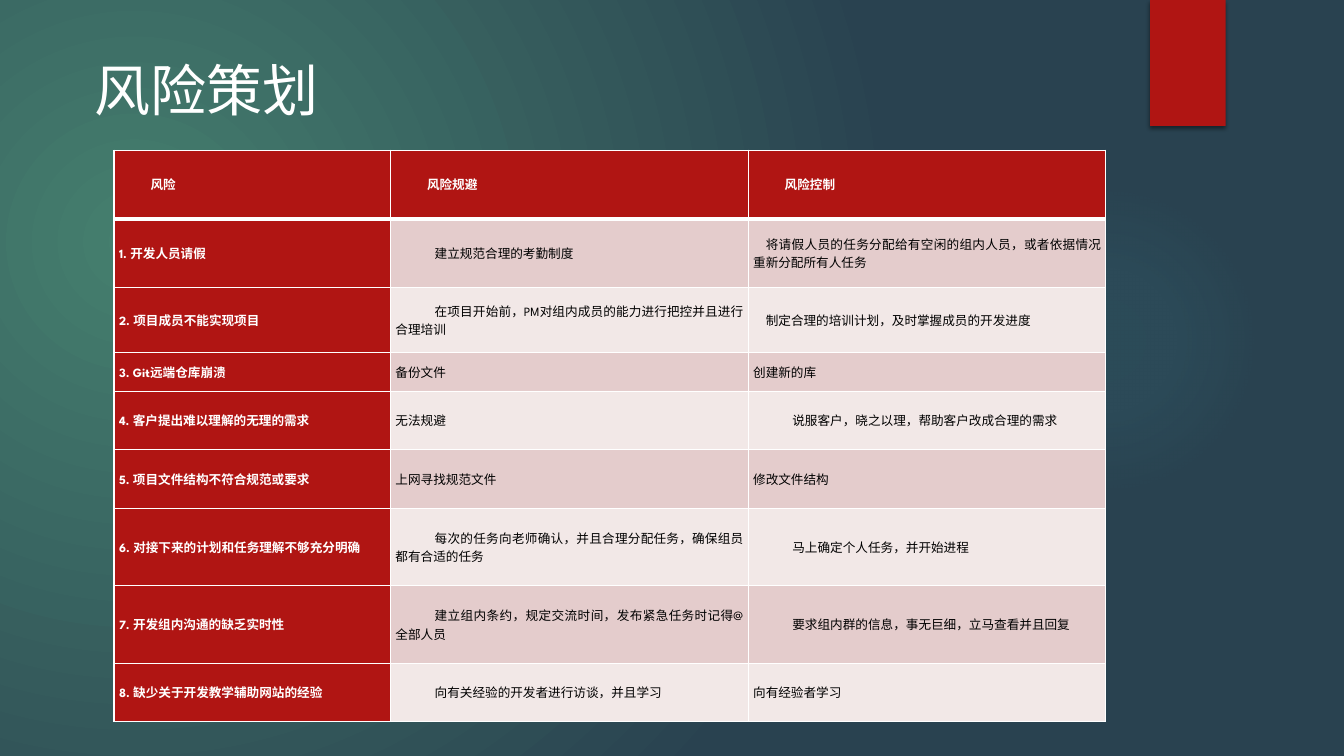
from lxml.etree import SubElement
from pptx import Presentation
from pptx.dml.color import RGBColor
from pptx.enum.shapes import MSO_SHAPE
from pptx.enum.text import MSO_ANCHOR, MSO_AUTO_SIZE, PP_ALIGN
from pptx.oxml.ns import qn
from pptx.util import Pt

FONT = "League Spartan"
COLORS = {
    "white": "FFFFFF",
    "black": "000000",
    "red": "B01513",
    "pink": "E4CCCC",
    "pale": "F2E8E7",
    "green": "457F6E",
    "navy": "294250",
    "teal": "50B9C1",
}

# First-line indents in points
HEADER_INDENT, WIDE, SMALL, NONE = 22.5, 28, 9, 0

HEADERS = ["风险", "风险规避", "风险控制"]
COLUMN_WIDTHS = [197.5, 255.5, 255.5]
HEADER_HEIGHT = 49

# Row height, risk, (avoidance, indent), (control, indent)
RISKS = [
    (49, "开发人员请假", ("建立规范合理的考勤制度", WIDE),
     ("将请假人员的任务分配给有空闲的组内人员，或者依据情况重新分配所有人任务", SMALL)),
    (46.6, "项目成员不能实现项目",
     ("在项目开始前，PM对组内成员的能力进行把控并且进行合理培训", WIDE),
     ("制定合理的培训计划，及时掌握成员的开发进度", SMALL)),
    (27.6, "Git远端仓库崩溃", ("备份文件", NONE), ("创建新的库", NONE)),
    (41.8, "客户提出难以理解的无理的需求", ("无法规避", NONE),
     ("说服客户，晓之以理，帮助客户改成合理的需求", WIDE)),
    (41.8, "项目文件结构不符合规范或要求", ("上网寻找规范文件", NONE),
     ("修改文件结构", NONE)),
    (55.4, "对接下来的计划和任务理解不够充分明确",
     ("每次的任务向老师确认，并且合理分配任务，确保组员都有合适的任务", WIDE),
     ("马上确定个人任务，并开始进程", WIDE)),
    (55.4, "开发组内沟通的缺乏实时性",
     ("建立组内条约，规定交流时间，发布紧急任务时记得@全部人员", WIDE),
     ("要求组内群的信息，事无巨细，立马查看并且回复", WIDE)),
    (41.8, "缺少关于开发教学辅助网站的经验",
     ("向有关经验的开发者进行访谈，并且学习", WIDE), ("向有经验者学习", NONE)),
]


def add_color(parent, color, alpha=None):
    element = SubElement(parent, qn("a:srgbClr"), val=COLORS[color])
    if alpha is not None:
        SubElement(element, qn("a:alpha"), val=str(alpha * 1000))


def set_radial_gradient(fill, stops, center):
    """Stops are (position, color, alpha); center is left, top, right, bottom in percent."""
    fill.gradient()
    gradient = fill._fill._gradFill
    for child in list(gradient):
        gradient.remove(child)
    stop_list = SubElement(gradient, qn("a:gsLst"))
    for position, color, alpha in stops:
        stop = SubElement(stop_list, qn("a:gs"), pos=str(position * 1000))
        add_color(stop, color, alpha)
    shade = SubElement(gradient, qn("a:path"), {"path": "circle"})
    sides = {side: str(value * 1000) for side, value in zip("ltrb", center)}
    SubElement(shade, qn("a:fillToRect"), sides)


def write_text(text_frame, text, size=9, color="black", bold=False,
               align=PP_ALIGN.JUSTIFY, indent=0):
    paragraph = text_frame.paragraphs[0]
    paragraph.alignment = align
    if indent:
        paragraph._p.get_or_add_pPr().set("indent", str(Pt(indent)))
    run = paragraph.add_run()
    run.text = text
    run.font.name = FONT
    run.font.size = Pt(size)
    run.font.bold = bold
    run.font.color.rgb = RGBColor.from_string(COLORS[color])


def add_decoration(slide, kind, left, top, width, height):
    shape = slide.shapes.add_shape(kind, Pt(left), Pt(top), Pt(width), Pt(height))
    shape.shadow.inherit = False
    shape.line.fill.background()
    return shape


def draw_backdrop(slide):
    # Background and soft glow
    set_radial_gradient(slide.background.fill,
                        [(0, "green", None), (100, "navy", None)], (45, 65, 125, 100))
    glow = add_decoration(slide, MSO_SHAPE.OVAL, 677.5, 131.8, 221.8, 221.8)
    set_radial_gradient(glow.fill, [(0, "teal", 7), (36, "teal", 6), (69, "teal", 0)],
                        (50, 50, 50, 50))

    # Red ribbon with a shadow below it
    ribbon = add_decoration(slide, MSO_SHAPE.RECTANGLE, 821.5, 0, 54, 90)
    ribbon.fill.solid()
    ribbon.fill.fore_color.rgb = RGBColor.from_string(COLORS["red"])
    effects = ribbon._element.spPr.find(qn("a:effectLst"))
    shadow = SubElement(effects, qn("a:outerShdw"), blurRad=str(Pt(3)),
                        dist=str(Pt(2)), dir="5400000", rotWithShape="0")
    add_color(shadow, "black", 45)


def place_title(slide, text, left, top, width, height):
    title = slide.shapes.title
    title.left, title.top, title.width, title.height = map(Pt, (left, top, width, height))
    title.text_frame.word_wrap = False
    title.text_frame.auto_size = MSO_AUTO_SIZE.SHAPE_TO_FIT_TEXT
    title.text_frame.vertical_anchor = MSO_ANCHOR.TOP
    write_text(title.text_frame, text, size=40, color="white", align=PP_ALIGN.LEFT)


def format_cell(cell, fill, top_border, bottom_border):
    cell.vertical_anchor = MSO_ANCHOR.MIDDLE
    cell.margin_left = cell.margin_right = Pt(3.6)
    cell.margin_top = cell.margin_bottom = 0
    properties = cell._tc.get_or_add_tcPr()
    for side, width in zip("LRTB", (1, 1, top_border, bottom_border)):
        line = SubElement(properties, qn(f"a:ln{side}"), w=str(Pt(width)))
        add_color(SubElement(line, qn("a:solidFill")), "white")
    cell.fill.solid()
    cell.fill.fore_color.rgb = RGBColor.from_string(COLORS[fill])


def draw_risk_table(slide, left, top):
    heights = [HEADER_HEIGHT] + [risk[0] for risk in RISKS]
    frame = slide.shapes.add_table(len(heights), len(COLUMN_WIDTHS), Pt(left), Pt(top),
                                   Pt(sum(COLUMN_WIDTHS)), Pt(sum(heights)))
    table = frame.table
    table.horz_banding = False
    for column, width in zip(table.columns, COLUMN_WIDTHS):
        column.width = Pt(width)
    for row, height in zip(table.rows, heights):
        row.height = Pt(height)

    # Header texts, then numbered risks
    contents = [[(header, HEADER_INDENT) for header in HEADERS]]
    for number, (_, risk, avoidance, control) in enumerate(RISKS, 1):
        contents.append([(f"{number}. {risk}", NONE), avoidance, control])

    for row_index, row_texts in enumerate(contents):
        band = "pink" if row_index % 2 else "pale"
        for column_index, (text, indent) in enumerate(row_texts):
            heading = row_index == 0 or column_index == 0
            cell = table.cell(row_index, column_index)
            format_cell(cell, "red" if heading else band,
                        top_border=3 if row_index == 1 else 1,
                        bottom_border=3 if row_index == 0 else 1)
            write_text(cell.text_frame, text, color="white" if heading else "black",
                       bold=heading, indent=indent)


def main():
    presentation = Presentation()
    presentation.slide_width, presentation.slide_height = Pt(960), Pt(540)
    slide = presentation.slides.add_slide(presentation.slide_layouts[5])
    draw_backdrop(slide)
    place_title(slide, "风险策划", 60.5, 36, 176.4, 55.4)
    draw_risk_table(slide, 81.4, 107.3)
    presentation.save("out.pptx")


if __name__ == "__main__":
    main()
